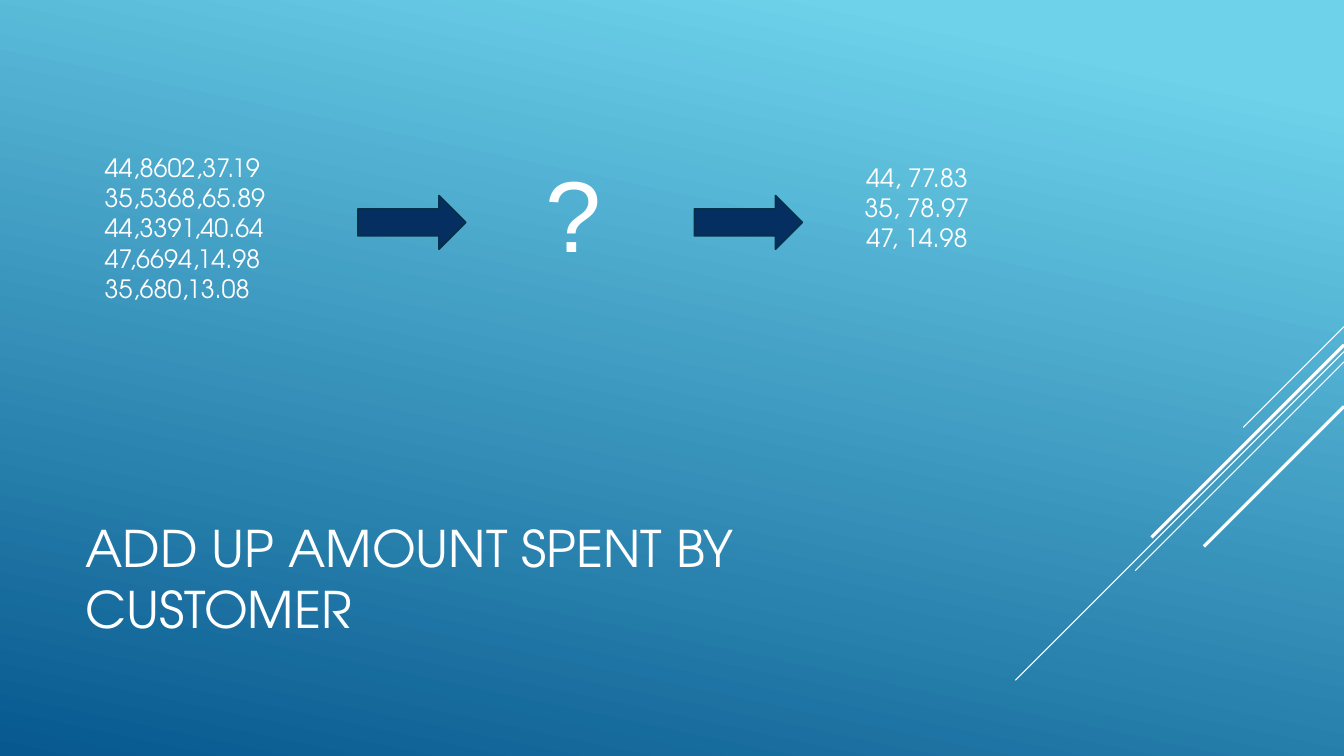
from dataclasses import dataclass

from pptx import Presentation
from pptx.dml.color import RGBColor
from pptx.enum import shapes, text
from pptx.oxml import ns
from pptx.slide import Slide
from pptx.text.text import TextFrame
from pptx.util import Cm, Pt
from lxml import etree

WHITE = RGBColor(0xFF, 0xFF, 0xFF)
SKY = RGBColor(0x6E, 0xD2, 0xEB)
OCEAN = RGBColor(0x06, 0x58, 0x8E)
NAVY = RGBColor(0x05, 0x2F, 0x61)
NAVY_EDGE = RGBColor(0x04, 0x31, 0x48)
FONT = "TeX Gyre Adventor"
PAGE_WIDTH = 33.87
PAGE_HEIGHT = 19.05
BOX_WIDTH = 7.62
LEFT, CENTER = text.PP_ALIGN.LEFT, text.PP_ALIGN.CENTER


@dataclass
class Stripe:
    top: float
    run: float
    weight: float


@dataclass
class Label:
    words: str
    left: float
    top: float
    height: float
    align: text.PP_ALIGN
    size: int = 18
    font: str = FONT


STRIPES = [
    Stripe(8.23, 2.54, 0.75),
    Stripe(8.86, 8.28, 0.75),
    Stripe(9.12, 5.26, 0.75),
    Stripe(8.69, 4.85, 2.25),
    Stripe(10.24, 3.53, 2.25),
]
LABELS = [
    Label("44, 77.83\n35, 78.97\n47, 14.98", 19.3, 3.96, 2.57, CENTER),
    Label(
        "44,8602,37.19\n35,5368,65.89\n44,3391,40.64\n47,6694,14.98\n35,680,13.08",
        2.39, 3.71, 5.64, LEFT,
    ),
    Label("?", 10.64, 3.71, 3.33, CENTER, 72, "Arial"),
]
ARROW_LEFTS = [9.02, 17.5]


def write(frame: TextFrame, words: str, size: int, font: str, align: text.PP_ALIGN) -> None:
    frame.text = words
    frame.word_wrap = True
    for para in frame.paragraphs:
        para.alignment = align
        for span in para.runs:
            span.font.size = Pt(size)
            span.font.name = font
            span.font.color.rgb = WHITE


def paint_background(page: Slide) -> None:
    fill = page.background.fill
    fill.gradient()
    fill.gradient_angle = 360 - 102
    for stop, color, position in zip(fill.gradient_stops, (SKY, OCEAN), (0.1, 1)):
        stop.color.rgb = color
        stop.position = position


def draw_stripe(page: Slide, stripe: Stripe) -> None:
    line = page.shapes.add_connector(
        shapes.MSO_CONNECTOR.STRAIGHT,
        Cm(PAGE_WIDTH), Cm(stripe.top),
        Cm(PAGE_WIDTH - stripe.run), Cm(stripe.top + stripe.run),
    )
    line.line.color.rgb = WHITE
    line.line.width = Pt(stripe.weight)
    etree.SubElement(line._element.spPr, ns.qn("a:effectLst"))


def draw_label(page: Slide, label: Label) -> None:
    box = page.shapes.add_textbox(
        Cm(label.left), Cm(label.top), Cm(BOX_WIDTH), Cm(label.height)
    )
    write(box.text_frame, label.words, label.size, label.font, label.align)
    box.text_frame.auto_size = text.MSO_AUTO_SIZE.SHAPE_TO_FIT_TEXT


def draw_arrow(page: Slide, left: float) -> None:
    arrow = page.shapes.add_shape(
        shapes.MSO_SHAPE.RIGHT_ARROW, Cm(left), Cm(4.93), Cm(2.72), Cm(1.35)
    )
    arrow.shadow.inherit = False
    arrow.fill.solid()
    arrow.fill.fore_color.rgb = NAVY
    arrow.line.color.rgb = NAVY_EDGE
    arrow.line.width = Pt(1.25)


def place_title(page: Slide) -> None:
    title = page.shapes.title
    title.left, title.top = Cm(1.9), Cm(12.47)
    title.width, title.height = Cm(23.7), Cm(4.19)
    frame = title.text_frame
    write(frame, "ADD UP AMOUNT SPENT BY CUSTOMER", 36, FONT, LEFT)
    frame.vertical_anchor = text.MSO_ANCHOR.MIDDLE
    frame.auto_size = text.MSO_AUTO_SIZE.NONE


deck = Presentation()
deck.slide_width, deck.slide_height = Cm(PAGE_WIDTH), Cm(PAGE_HEIGHT)
page = deck.slides.add_slide(deck.slide_layouts.get_by_name("Title Only"))
paint_background(page)
for stripe in STRIPES:
    draw_stripe(page, stripe)
place_title(page)
for label in LABELS:
    draw_label(page, label)
for left in ARROW_LEFTS:
    draw_arrow(page, left)
deck.save("out.pptx")
